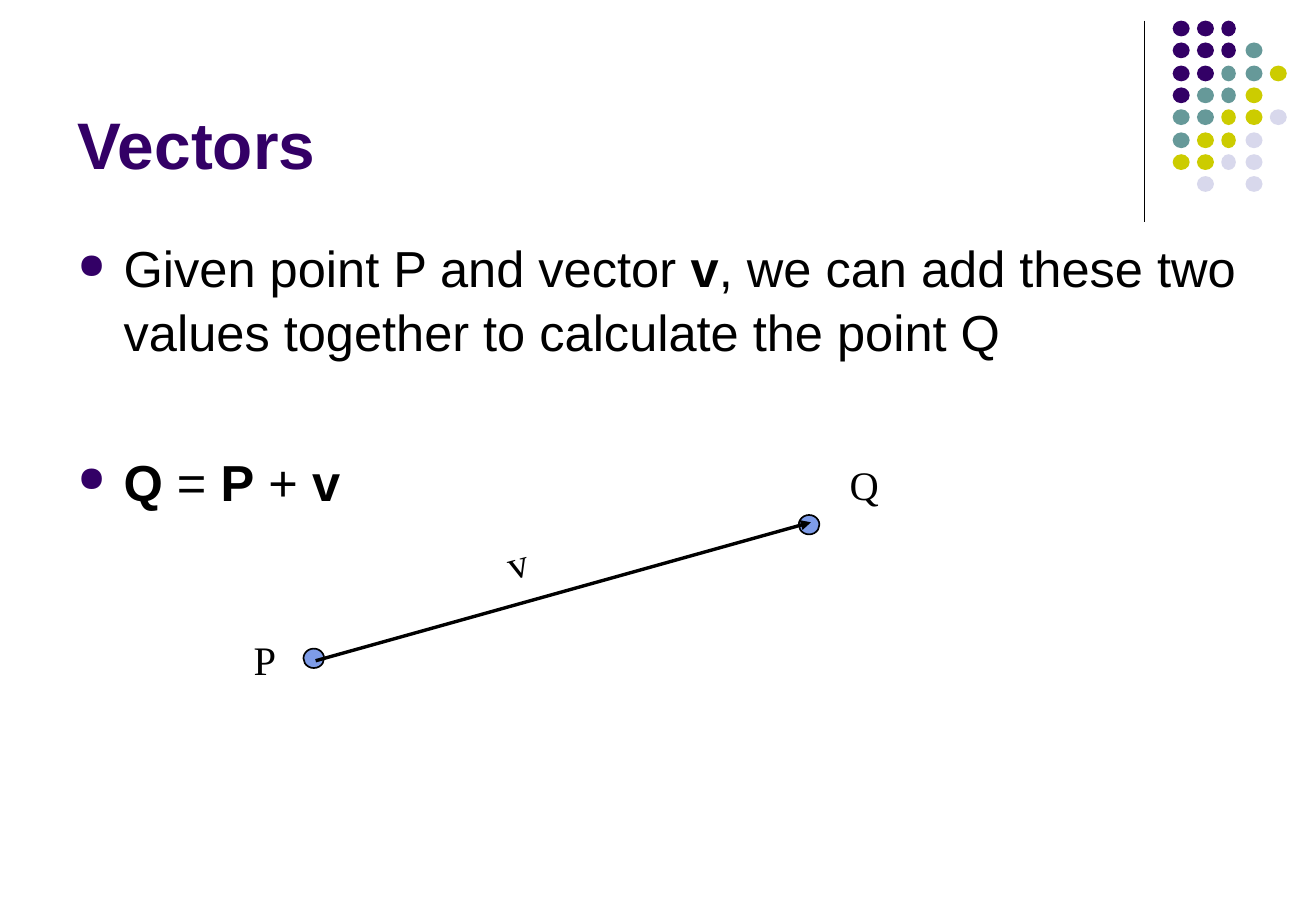
from pptx import Presentation
from pptx.dml.color import RGBColor
from pptx.enum.shapes import MSO_CONNECTOR, MSO_SHAPE
from pptx.enum.text import MSO_ANCHOR, MSO_AUTO_SIZE, PP_ALIGN
from pptx.oxml.ns import qn
from pptx.util import Emu, Pt
from lxml import etree

OVAL = MSO_SHAPE.OVAL
STRAIGHT = MSO_CONNECTOR.STRAIGHT
LEFT = PP_ALIGN.LEFT
TOP, BOTTOM = MSO_ANCHOR.TOP, MSO_ANCHOR.BOTTOM
FIXED, GROW = MSO_AUTO_SIZE.NONE, MSO_AUTO_SIZE.SHAPE_TO_FIT_TEXT
EMU_PER_PX = 9144
TITLE_ONLY = 5

SANS, SERIF = "Arial", "Times New Roman"
BLACK, PURPLE, POINT_BLUE = "000000", "330066", "7E9CE8"
DOT_COLORS = {"P": PURPLE, "T": "669999", "Y": "CCCC00", "L": "D8D8EC"}
DOT_ROWS = ["PPP", "PPPT", "PPTTY", "PTTY", "TTYYL", "TYYL", "YYLL", " L L"]


def px(length):
    return Emu(length * EMU_PER_PX)


def color(hex_string):
    return RGBColor.from_string(hex_string)


class VectorSlide:
    def __init__(self, presentation):
        self.slide = presentation.slides.add_slide(presentation.slide_layouts[TITLE_ONLY])
        self.shapes = self.slide.shapes

    def add_run(self, paragraph, text, size, font=SANS, ink=BLACK, bold=False):
        run = paragraph.add_run()
        run.text = text
        run.font.name = font
        run.font.size = Pt(size)
        run.font.bold = bold
        run.font.color.rgb = color(ink)

    def title(self, text, left, top, width, height):
        shape = self.shapes.title
        shape.left, shape.top, shape.width, shape.height = map(px, (left, top, width, height))
        frame = shape.text_frame
        frame.auto_size = FIXED
        frame.vertical_anchor = BOTTOM
        paragraph = frame.paragraphs[0]
        paragraph.alignment = LEFT
        self.add_run(paragraph, text, 39, ink=PURPLE, bold=True)

    def text_frame(self, left, top, width, height, wrap, rotation=0):
        shape = self.shapes.add_textbox(*map(px, (left, top, width, height)))
        shape.rotation = rotation
        frame = shape.text_frame
        frame.word_wrap = wrap
        frame.auto_size = FIXED if wrap else GROW
        frame.vertical_anchor = TOP
        return frame

    def bullet(self, paragraph):
        properties = paragraph._p.get_or_add_pPr()
        properties.set("marL", str(px(38)))
        properties.set("indent", str(-px(38)))
        bullet_color = etree.SubElement(properties, qn("a:buClr"))
        etree.SubElement(bullet_color, qn("a:srgbClr"), val=PURPLE)
        etree.SubElement(properties, qn("a:buSzPct"), val="70000")
        etree.SubElement(properties, qn("a:buChar"), char="●")

    def bullets(self, items, left, top, width, height):
        frame = self.text_frame(left, top, width, height, True)
        for index, (space_before, runs) in enumerate(items):
            paragraph = frame.add_paragraph() if index else frame.paragraphs[0]
            paragraph.line_spacing = 1.05
            paragraph.space_before = Pt(space_before)
            self.bullet(paragraph)
            for text, bold in runs:
                self.add_run(paragraph, text, 30, bold=bold)

    def label(self, text, left, top, width, rotation=0):
        frame = self.text_frame(left, top, width, 50, False, rotation)
        self.add_run(frame.paragraphs[0], text, 24, SERIF)

    def dot(self, left, top, width, height, fill, outlined=False):
        shape = self.shapes.add_shape(OVAL, *map(px, (left, top, width, height)))
        shape.shadow.inherit = False
        shape.fill.solid()
        shape.fill.fore_color.rgb = color(fill)
        if outlined:
            shape.line.color.rgb = color(BLACK)
            shape.line.width = Pt(1)
        else:
            shape.line.fill.background()

    def line(self, start, end, width, arrow=False):
        connector = self.shapes.add_connector(STRAIGHT, *map(px, start + end))
        connector.line.color.rgb = color(BLACK)
        connector.line.width = Pt(width)
        if arrow:
            etree.SubElement(connector.line._get_or_add_ln(), qn("a:tailEnd"), type="triangle")
        etree.SubElement(connector._element.spPr, qn("a:effectLst"))

    def dot_pattern(self, left, top):
        for row, codes in enumerate(DOT_ROWS):
            for column, code in enumerate(codes):
                if code in DOT_COLORS:
                    width = 12 if column == 2 else 14
                    self.dot(left + 20 * column, top + round(18.3 * row), width, 13,
                             DOT_COLORS[code])


def main():
    presentation = Presentation()
    presentation.slide_width, presentation.slide_height = px(1084), px(750)
    slide = VectorSlide(presentation)
    slide.line((943, 17), (943, 183), 0.75)
    slide.dot_pattern(966, 17)
    slide.title("Vectors", 54, 13, 894, 142)
    slide.bullets([
        (7.5, [("Given point P and vector ", False), ("v", True),
               (", we can add these two values together to calculate the point Q", False)]),
        (51, [("Q", True), (" = ", False), ("P", True), (" + ", False), ("v", True)]),
    ], 54, 188, 975, 482)
    for left, top in ((250, 534), (658, 424)):
        slide.dot(left, top, 17, 16, POINT_BLUE, outlined=True)
    slide.line((260, 544), (668, 430), 2, arrow=True)
    slide.label("P", 199, 518, 38)
    slide.label("Q", 690, 374, 44)
    slide.label("v", 408, 438, 36, rotation=345)
    presentation.save("out.pptx")


if __name__ == "__main__":
    main()
